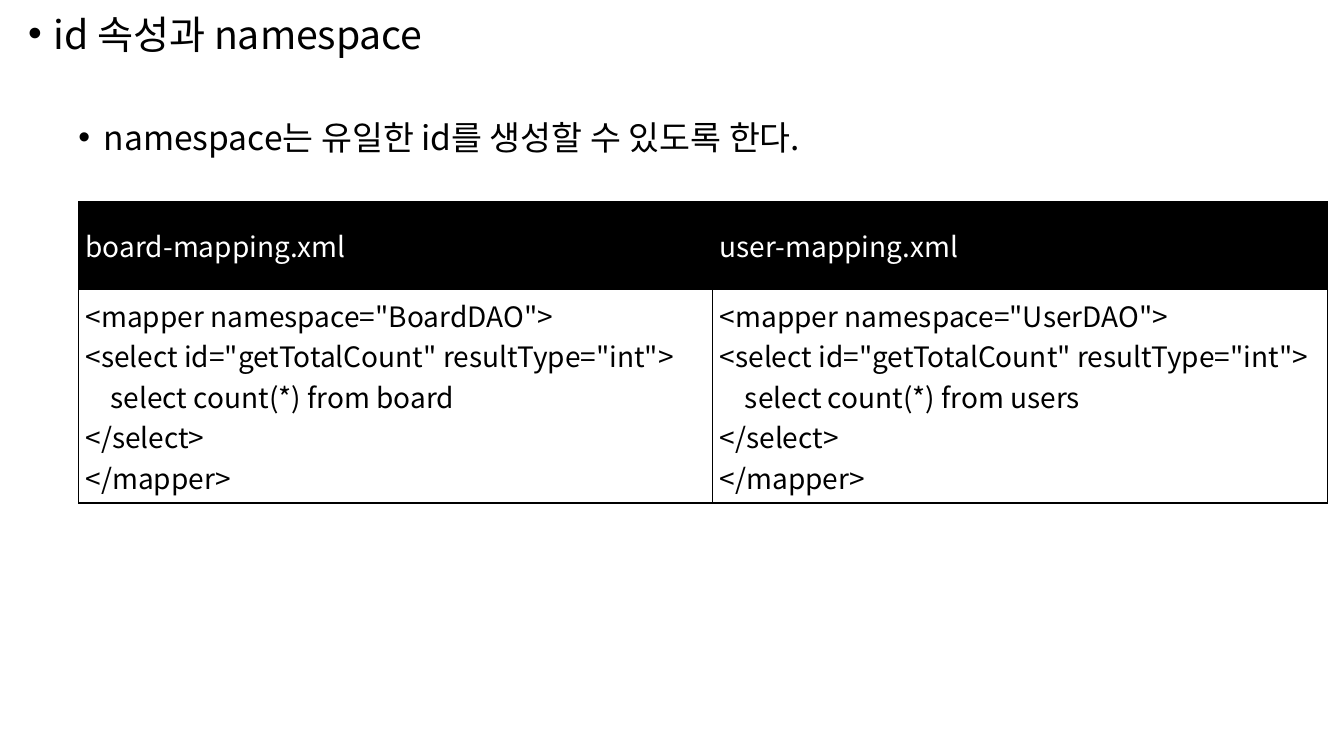
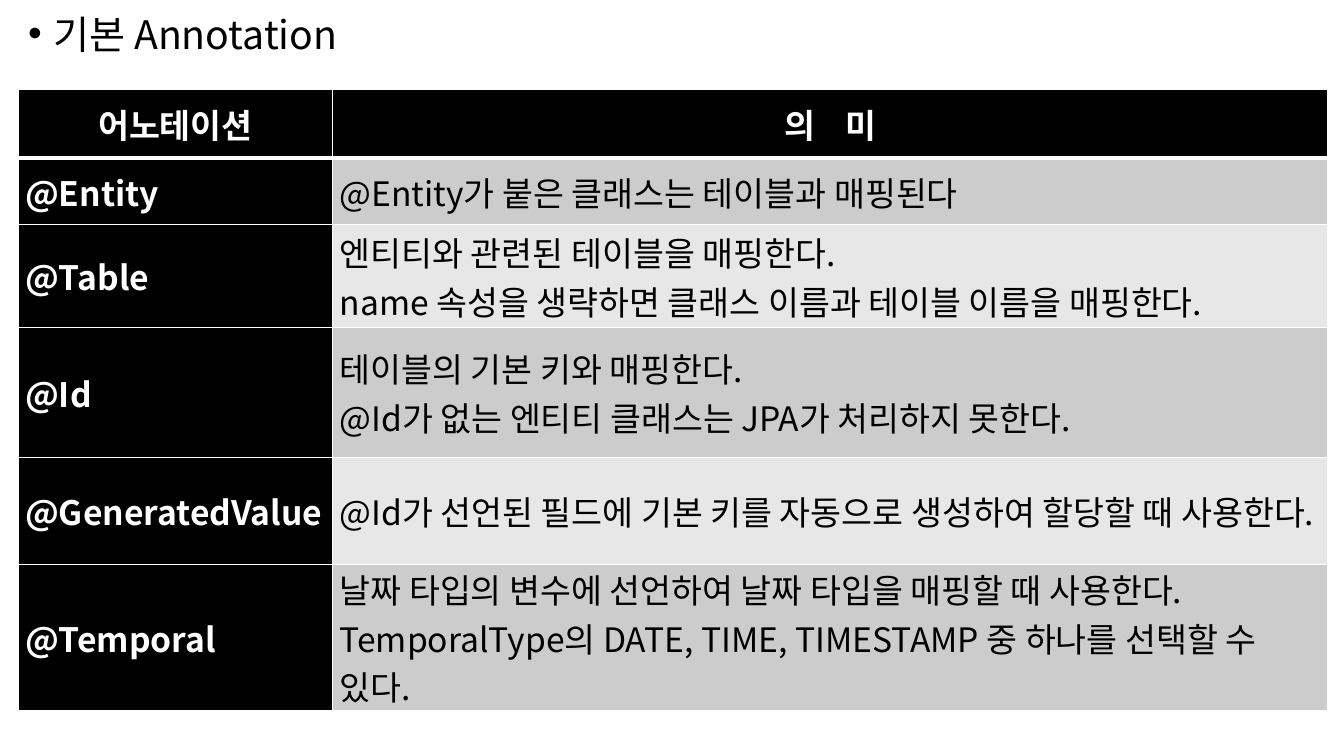
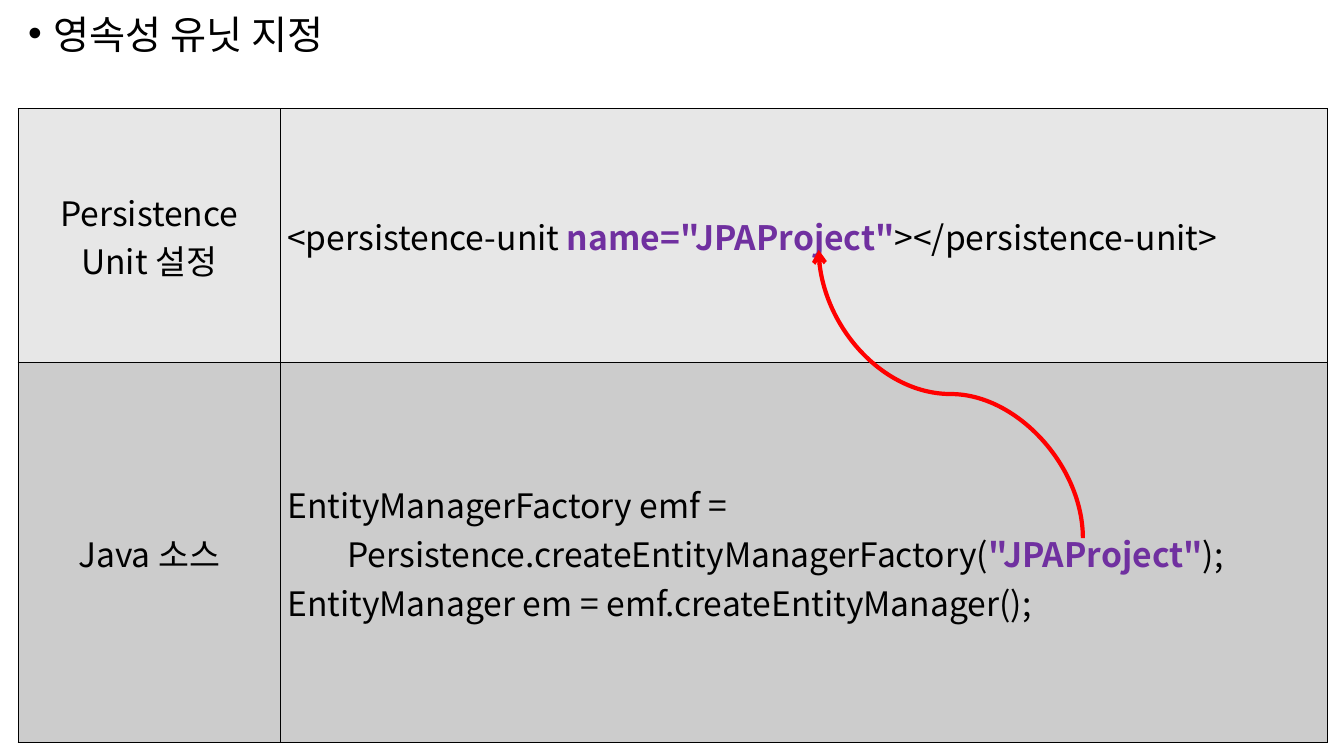
from pptx import Presentation
from pptx import util as u
from pptx.dml.color import RGBColor
from pptx.enum import shapes, text
from pptx.oxml.ns import qn
from lxml import etree

FONT = "Noto Sans CJK KR"
C = {"ink": "000000", "paper": "FFFFFF", "mid": "CCCCCC", "light": "E7E7E7",
     "accent": "7030A0", "arrow": "FF0000"}
LEFT, WIDTH = 0.18, 12.99
CENTER = text.PP_ALIGN.CENTER
NAME = {"color": "accent", "bold": True}


def rgb(name):
    return RGBColor.from_string(C[name])


def sub(parent, tag, **attrs):
    return etree.SubElement(parent, qn(tag), attrs)


def add_run(p, words, size, color="ink", bold=False, spacing=0):
    r = p.add_run()
    r.text = words
    r.font.size = u.Pt(size)
    r.font.bold = bold
    r.font.name = FONT
    r.font.color.rgb = rgb(color)
    rPr = r.font._element
    sub(rPr, "a:ea", typeface=FONT)
    if spacing:
        rPr.set("spc", str(spacing * 100))


def write(tf, lines, size, align=text.PP_ALIGN.LEFT, **style):
    for i, line in enumerate(lines):
        p = tf.add_paragraph() if i else tf.paragraphs[0]
        p.alignment = align
        for part in [line] if isinstance(line, str) else line:
            words, extra = (part, {}) if isinstance(part, str) else part
            add_run(p, words, size, **{**style, **extra})


def bullet(tf, words, size):
    tf.word_wrap = True
    tf.auto_size = text.MSO_AUTO_SIZE.NONE
    tf.vertical_anchor = text.MSO_ANCHOR.TOP
    p = tf.paragraphs[0]
    pPr = p._p.get_or_add_pPr()
    pPr.set("marL", str(u.Inches(0.25)))
    pPr.set("indent", str(u.Inches(-0.25)))
    sub(pPr, "a:buFont", typeface="Arial")
    sub(pPr, "a:buChar", char="•")
    p.line_spacing = 0.8
    write(tf, [words], size)


def titled_slide(prs, title):
    s = prs.slides.add_slide(prs.slide_layouts[5])
    sp = s.shapes.title
    sp.left, sp.top, sp.width, sp.height = map(u.Inches, (LEFT, 0.14, WIDTH, 0.65))
    bullet(sp.text_frame, title, 28)
    return s


def sub_bullet(s, words, x, y, w, h):
    sp = s.shapes.add_textbox(*map(u.Inches, (x, y, w, h)))
    bullet(sp.text_frame, words, 24)


def add_grid(s, x, y, cols, rows):
    frame = s.shapes.add_table(len(rows), len(cols), *map(u.Inches, (x, y, sum(cols), sum(rows))))
    tbl = frame.table
    tbl.first_row = tbl.horz_banding = False
    for col, w in zip(tbl.columns, cols):
        col.width = u.Inches(w)
    for row, h in zip(tbl.rows, rows):
        row.height = u.Inches(h)
    return tbl


def fill_cell(cell, lines, size, fill=None, border="ink", top=1, bottom=1, **style):
    cell.margin_left = cell.margin_right = u.Inches(0.07)
    cell.margin_top = cell.margin_bottom = 0
    cell.vertical_anchor = text.MSO_ANCHOR.MIDDLE
    tcPr = cell._tc.get_or_add_tcPr()
    for side, width in (("L", 1), ("R", 1), ("T", top), ("B", bottom)):
        ln = sub(tcPr, "a:ln" + side, w=str(u.Pt(width)))
        sub(sub(ln, "a:solidFill"), "a:srgbClr", val=C[border])
    if fill:
        cell.fill.solid()
        cell.fill.fore_color.rgb = rgb(fill)
    else:
        cell.fill.background()
    write(cell.text_frame, lines, size, **style)


def curved_arrow(s, x1, y1, x2, y2):
    cx, cy = (x1 + x2) / 2, (y1 + y2) / 2
    w, h = abs(y2 - y1), abs(x2 - x1)
    ends = (cx - w / 2, cy + h / 2, cx + w / 2, cy - h / 2)
    cn = s.shapes.add_connector(shapes.MSO_CONNECTOR.CURVE, *map(u.Inches, ends))
    cn.line.color.rgb = rgb("arrow")
    cn.line.width = u.Pt(3)
    spPr = cn._element.spPr
    spPr.find(qn("a:xfrm")).set("rot", str(270 * 60000))
    sub(spPr.find(qn("a:ln")), "a:tailEnd", type="arrow")
    sub(spPr, "a:effectLst")


def namespace_slide(prs):
    s = titled_slide(prs, "id 속성과 namespace")
    sub_bullet(s, "namespace는 유일한 id를 생성할 수 있도록 한다.", 0.68, 1.19, 12.4, 0.6)
    tbl = add_grid(s, 0.78, 2, [6.29, 6.1], [0.87, 2.12])
    mappers = [("board", "BoardDAO", "board"), ("user", "UserDAO", "users")]
    for i, (prefix, dao, source) in enumerate(mappers):
        code = [f'<mapper namespace="{dao}">',
                '<select id="getTotalCount" resultType="int">',
                f"    select count(*) from {source}",
                "</select>",
                "</mapper>"]
        fill_cell(tbl.cell(0, i), [f"{prefix}-mapping.xml"], 20, "ink", color="paper")
        fill_cell(tbl.cell(1, i), code, 20)


def annotation_slide(prs):
    s = titled_slide(prs, "기본 Annotation")
    tbl = add_grid(s, LEFT, 0.89, [3.12, 9.87], [0.68, 0.66, 1.02, 1.29, 1.06, 1.27])
    dark = {"fill": "ink", "border": "paper", "color": "paper", "bold": True}
    headers = ["어노테이션", [("의 ", {"spacing": 8}), "미"]]
    for i, header in enumerate(headers):
        fill_cell(tbl.cell(0, i), [header], 24, bottom=3, align=CENTER, **dark)
    meanings = [
        ("@Entity", ["@Entity가 붙은 클래스는 테이블과 매핑된다"]),
        ("@Table", ["엔티티와 관련된 테이블을 매핑한다.",
                    "name 속성을 생략하면 클래스 이름과 테이블 이름을 매핑한다."]),
        ("@Id", ["테이블의 기본 키와 매핑한다.",
                 "@Id가 없는 엔티티 클래스는 JPA가 처리하지 못한다."]),
        ("@GeneratedValue", ["@Id가 선언된 필드에 기본 키를 자동으로 생성하여 할당할 때 사용한다."]),
        ("@Temporal", ["날짜 타입의 변수에 선언하여 날짜 타입을 매핑할 때 사용한다.",
                       "TemporalType의 DATE, TIME, TIMESTAMP 중 하나를 선택할 수 있다."]),
    ]
    for i, (name, lines) in enumerate(meanings, 1):
        top = 3 if i == 1 else 1
        fill_cell(tbl.cell(i, 0), [name], 24, top=top, **dark)
        fill_cell(tbl.cell(i, 1), lines, 24, "mid" if i % 2 else "light", "paper", top=top)


def persistence_slide(prs):
    s = titled_slide(prs, "영속성 유닛 지정")
    tbl = add_grid(s, LEFT, 1.08, [2.6, 10.39], [2.52, 3.77])
    rows = [
        ("light", ["Persistence", "Unit 설정"],
         [["<persistence-unit ", ('name="JPAProject"', NAME), "></persistence-unit>"]]),
        ("mid", ["Java 소스"],
         ["EntityManagerFactory emf =",
          ["        Persistence.createEntityManagerFactory(", ('"JPAProject"', NAME), ");"],
          "EntityManager em = emf.createEntityManager();"]),
    ]
    for i, (fill, label, code) in enumerate(rows):
        fill_cell(tbl.cell(i, 0), label, 24, fill, align=CENTER)
        fill_cell(tbl.cell(i, 1), code, 24, fill)
    curved_arrow(s, 10.74, 5.34, 8.12, 2.48)


def main():
    prs = Presentation()
    prs.slide_width, prs.slide_height = u.Inches(13.33), u.Inches(7.5)
    namespace_slide(prs)
    annotation_slide(prs)
    persistence_slide(prs)
    prs.save("out.pptx")


if __name__ == "__main__":
    main()
